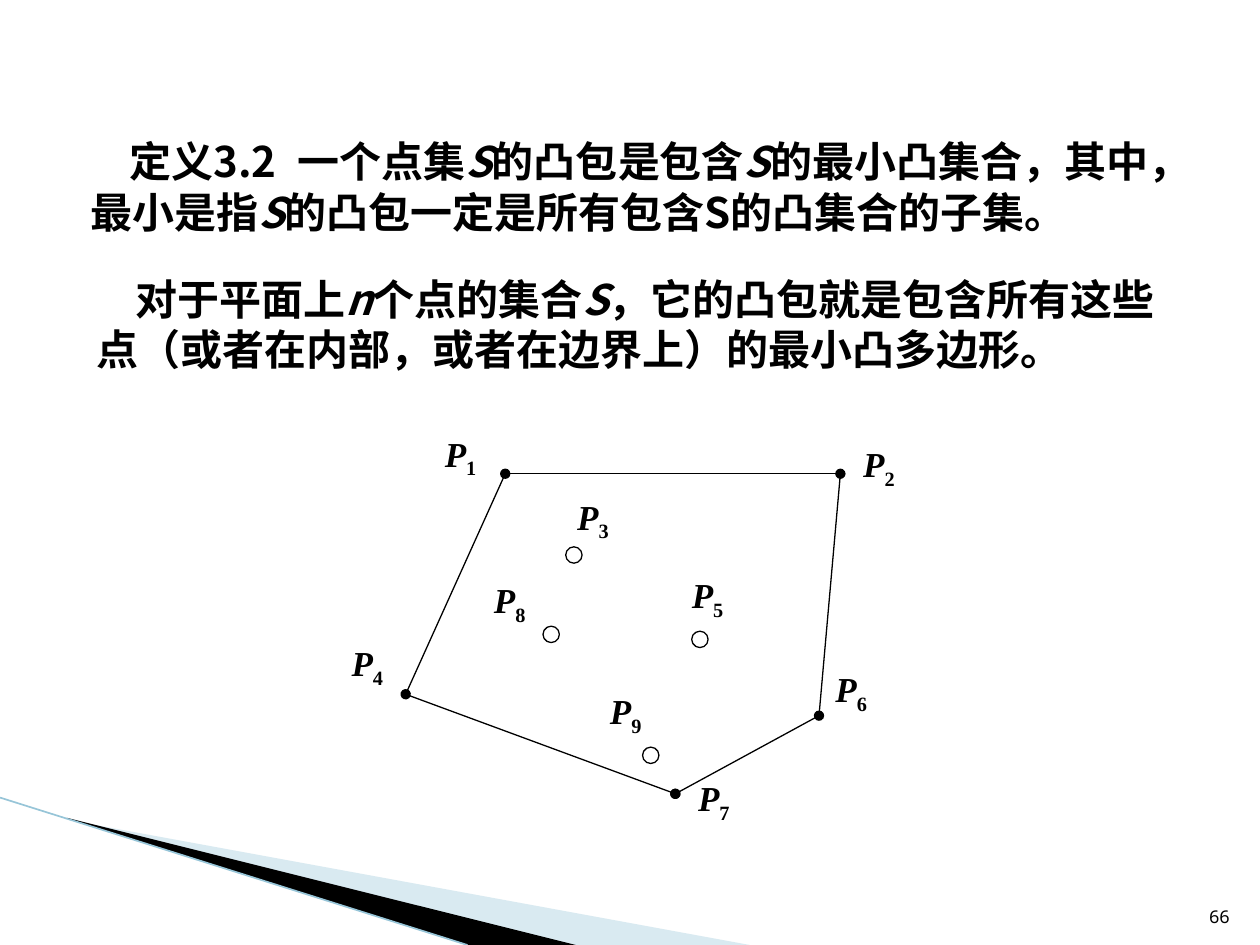
from pptx import Presentation
from pptx.dml.color import RGBColor
from pptx.enum.shapes import MSO_CONNECTOR as CONNECTOR, MSO_SHAPE as SHAPE
from pptx.enum.text import MSO_ANCHOR as ANCHOR, PP_ALIGN as ALIGN
from pptx.oxml.ns import qn
from pptx.util import Inches, Pt
from lxml.etree import SubElement

COLORS = {"ink": "000000", "pale": "A0CBDC", "edge": "97C5D8"}
SANS, SERIF, MONO = "Noto Sans CJK SC", "Times New Roman", "Noto Sans Mono"

prs = Presentation()
prs.slide_width, prs.slide_height = Inches(10), Inches(7.5)
slide = prs.slides.add_slide(prs.slide_layouts[6])
shapes = slide.shapes


def add_text(left, top, width, height, runs, size, font, bold=True, margin=None):
    """Place one paragraph; runs are (text, italic) pairs."""
    box = shapes.add_textbox(*map(Inches, (left, top, width, height)))
    frame = box.text_frame
    frame.word_wrap = True
    if margin is not None:
        frame.margin_left = frame.margin_right = Inches(margin)
        frame.margin_top = frame.margin_bottom = Inches(margin)
    for text, italic in runs:
        run = frame.paragraphs[0].add_run()
        run.text = text
        run.font.size, run.font.name = Pt(size), font
        run.font.bold, run.font.italic = bold, italic
        run.font.color.rgb = RGBColor.from_string(COLORS["ink"])
        SubElement(run.font._element, qn("a:ea")).set("typeface", font)
    return frame


def add_line(start, end, color, width, dots=False):
    """Draw a straight line, with a dot at both ends on request."""
    line = shapes.add_connector(CONNECTOR.STRAIGHT, *map(Inches, (*start, *end)))
    line.line.color.rgb = RGBColor.from_string(COLORS[color])
    line.line.width = Pt(width)
    if dots:
        outline = line.line._get_or_add_ln()
        for tag in ("a:headEnd", "a:tailEnd"):
            SubElement(outline, qn(tag)).set("type", "oval")
    SubElement(line._element.spPr, qn("a:effectLst"))


# Corner decoration
wedges = [
    ("pale", 40, [(0.55, 6.51), (5.95, 7.5), (4.56, 7.5), (0.55, 6.5)]),
    ("ink", 100, [(0.53, 6.49), (4.57, 7.5), (3.72, 7.5), (0.54, 6.5)]),
]
for color, opacity, corners in wedges:
    points = [(Inches(x), Inches(y)) for x, y in corners]
    builder = shapes.build_freeform(*points[0])
    builder.add_line_segments(points[1:])
    wedge = builder.convert_to_shape()
    wedge.shadow.inherit = False
    wedge.line.fill.background()
    wedge.fill.solid()
    wedge.fill.fore_color.rgb = RGBColor.from_string(COLORS[color])
    if opacity < 100:
        rgb = wedge._element.spPr.find(".//" + qn("a:srgbClr"))
        SubElement(rgb, qn("a:alpha")).set("val", str(opacity * 1000))
add_line((0, 6.33), (3.71, 7.5), "edge", 0.95)

# Definition and explanation, with the symbols in italics
statements = [
    (0.62, 1.03, 8.81, [
        ("定义3.2\u2002一个点集", False), ("S", True), ("的凸包是包含", False), ("S", True),
        ("的最小凸集合，其中，最小是指", False), ("S", True),
        ("的凸包一定是所有包含S的凸集合的子集。", False)]),
    (0.67, 2.12, 8.75, [
        ("对于平面上", False), ("n", True), ("个点的集合", False), ("S", True),
        ("，它的凸包就是包含所有这些点（或者在内部，或者在边界上）的最小凸多边形。", False)]),
]
for left, top, width, runs in statements:
    paragraph = add_text(left, top, width, 0.91, runs, 24, SANS).paragraphs[0]
    paragraph.line_spacing = Pt(28.8)
    paragraph._p.get_or_add_pPr().set("indent", str(Inches(0.31)))

# Convex hull
hull = {1: (4.01, 3.76), 2: (6.67, 3.76), 4: (3.22, 5.51), 6: (6.5, 5.68), 7: (5.36, 6.3)}
for start, end, dots in [(1, 2, True), (1, 4, False), (4, 7, True), (7, 6, True), (2, 6, False)]:
    add_line(hull[start], hull[end], "ink", 0.75, dots)

# Inner points
for left, top in [(4.49, 4.34), (4.31, 4.97), (5.49, 5.01), (5.1, 5.93)]:
    point = shapes.add_shape(SHAPE.OVAL, *map(Inches, (left, top, 0.13, 0.13)))
    point.shadow.inherit = False
    point.fill.background()
    point.line.color.rgb = RGBColor.from_string(COLORS["ink"])
    point.line.width = Pt(0.75)

# Point labels
labels = {1: (3.53, 3.43), 2: (6.85, 3.51), 3: (4.58, 3.93), 4: (2.79, 5.09), 5: (5.49, 4.55),
          6: (6.63, 5.3), 7: (5.54, 6.2), 8: (3.92, 4.59), 9: (4.84, 5.47)}
for number, (left, top) in labels.items():
    height = 0.27 if number == 7 else 0.42
    runs = [("P", True), (str(number), False)]
    label = add_text(left, top, 0.35, height, runs, 20, SERIF, margin=0).paragraphs[0]
    label.alignment = ALIGN.JUSTIFY
    label.runs[1].font._element.set("baseline", "-25000")
    if number == 7:
        label.line_spacing = 0.8

# Page number
page = add_text(9.46, 7.01, 0.4, 0.4, [("66", False)], 10, MONO, bold=False)
page.vertical_anchor = ANCHOR.BOTTOM
page.paragraphs[0].alignment = ALIGN.RIGHT

prs.save("out.pptx")
